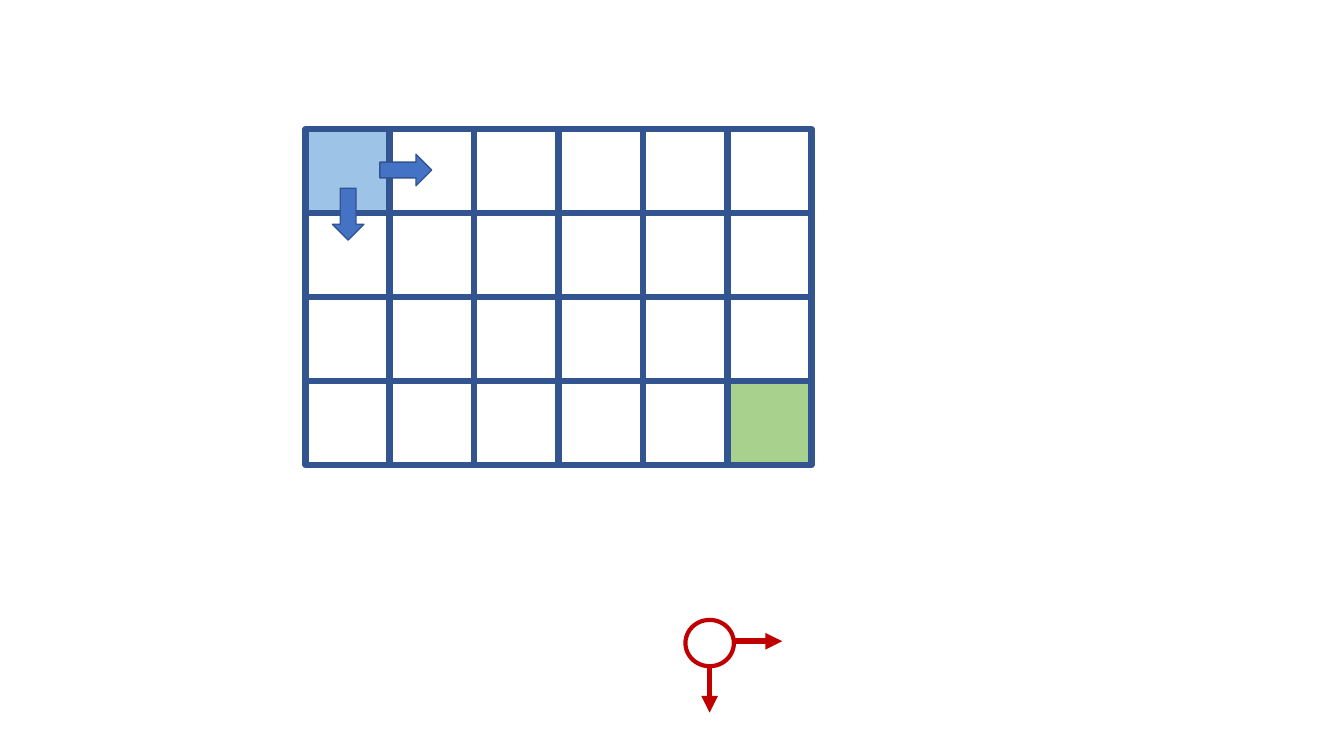
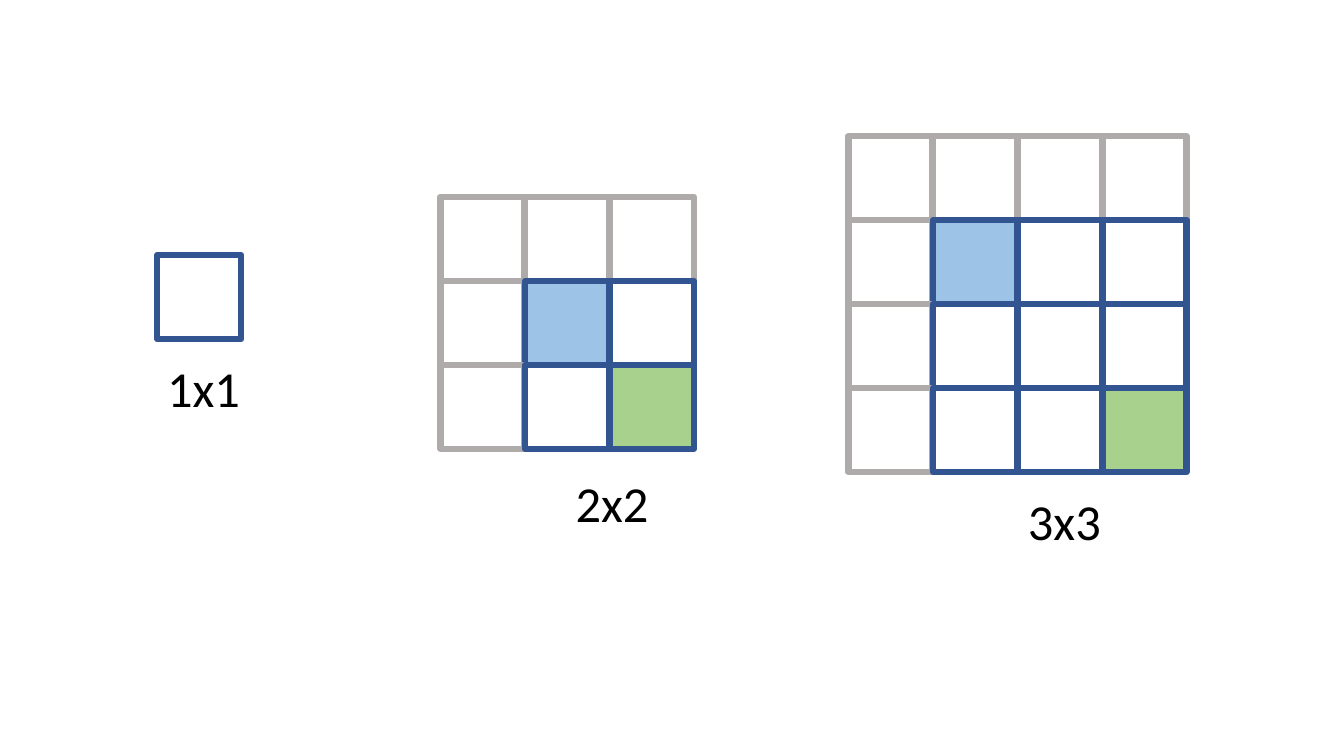
from lxml import etree
from pptx import Presentation
from pptx.dml.color import RGBColor
from pptx.enum.shapes import MSO_CONNECTOR, MSO_SHAPE
from pptx.enum.text import MSO_AUTO_SIZE
from pptx.oxml.ns import qn
from pptx.util import Pt

RECT = MSO_SHAPE.RECTANGLE
OVAL = MSO_SHAPE.OVAL
RIGHT_ARROW = MSO_SHAPE.RIGHT_ARROW
STRAIGHT = MSO_CONNECTOR.STRAIGHT
FIT_SHAPE = MSO_AUTO_SIZE.SHAPE_TO_FIT_TEXT

FONT = "Calibri"
BLACK = "000000"
NAVY = "325491"
BLUE = "4472C4"
GREY = "AFABAB"
RED = "C00000"
START = "9DC3E6"
END = "A9D18E"
CELL = 60


def rgb(hex_color):
    return RGBColor.from_string(hex_color)


def add_shape(shapes, kind, x, y, w, h, line, width, fill=None):
    sp = shapes.add_shape(kind, Pt(x), Pt(y), Pt(w), Pt(h))
    sp.shadow.inherit = False
    sp.line.color.rgb = rgb(line)
    sp.line.width = Pt(width)
    if fill:
        sp.fill.solid()
        sp.fill.fore_color.rgb = rgb(fill)
    else:
        sp.fill.background()
    return sp


def add_arrow(shapes, x1, y1, x2, y2):
    cn = shapes.add_connector(STRAIGHT, Pt(x1), Pt(y1), Pt(x2), Pt(y2))
    cn.line.color.rgb = rgb(RED)
    cn.line.width = Pt(4)
    etree.SubElement(cn.line._get_or_add_ln(), qn("a:tailEnd"), type="triangle")
    etree.SubElement(cn._element.spPr, qn("a:effectLst"))


def add_grid(s, x, y, rows, cols, pitch=CELL, border=0, marked=True):
    """Draw cells; the first `border` rows and columns are grey.

    When marked, the first and last navy cells are filled.
    """
    fills = {}
    if marked:
        fills = {(border, border): START, (rows - 1, cols - 1): END}
    for row in range(rows):
        for col in range(cols):
            line = GREY if min(row, col) < border else NAVY
            add_shape(s.shapes, RECT, x + col * pitch, y + row * CELL,
                      CELL, CELL, line, 4.5, fills.get((row, col)))


def add_label(s, text, x, y):
    tf = s.shapes.add_textbox(Pt(x), Pt(y), Pt(70), Pt(51)).text_frame
    tf.word_wrap = True
    tf.auto_size = FIT_SHAPE
    tf.text = text
    font = tf.paragraphs[0].runs[0].font
    font.name = FONT
    font.size = Pt(36)
    font.color.rgb = rgb(BLACK)


def build_moves(s):
    add_grid(s, 218.2, 92.2, 4, 6, pitch=60.3)
    for x, y, angle in ((271.4, 110.2, 0), (230.2, 141.7, 90)):
        arrow = add_shape(s.shapes, RIGHT_ARROW, x, y, 37, 22.5, NAVY, 1, BLUE)
        arrow.rotation = angle
    robot = s.shapes.add_group_shape().shapes
    add_shape(robot, OVAL, 489.6, 442.8, 34.6, 33.1, RED, 3)
    add_arrow(robot, 523.4, 458, 558.7, 458)
    add_arrow(robot, 506.9, 476.6, 506.9, 509)


def build_sizes(s):
    add_grid(s, 112.3, 182.2, 1, 1, marked=False)
    add_label(s, "1x1", 112.3, 251.3)
    add_grid(s, 314.6, 140.6, 3, 3, pitch=60.5, border=1)
    add_label(s, "2x2", 404, 333.4)
    add_grid(s, 606, 97.2, 4, 4, pitch=60.5, border=1)
    add_label(s, "3x3", 727.2, 346.3)


def main():
    prs = Presentation()
    prs.slide_width, prs.slide_height = Pt(960), Pt(540)
    for build in (build_moves, build_sizes):
        build(prs.slides.add_slide(prs.slide_layouts[6]))
    prs.save("out.pptx")


if __name__ == "__main__":
    main()
